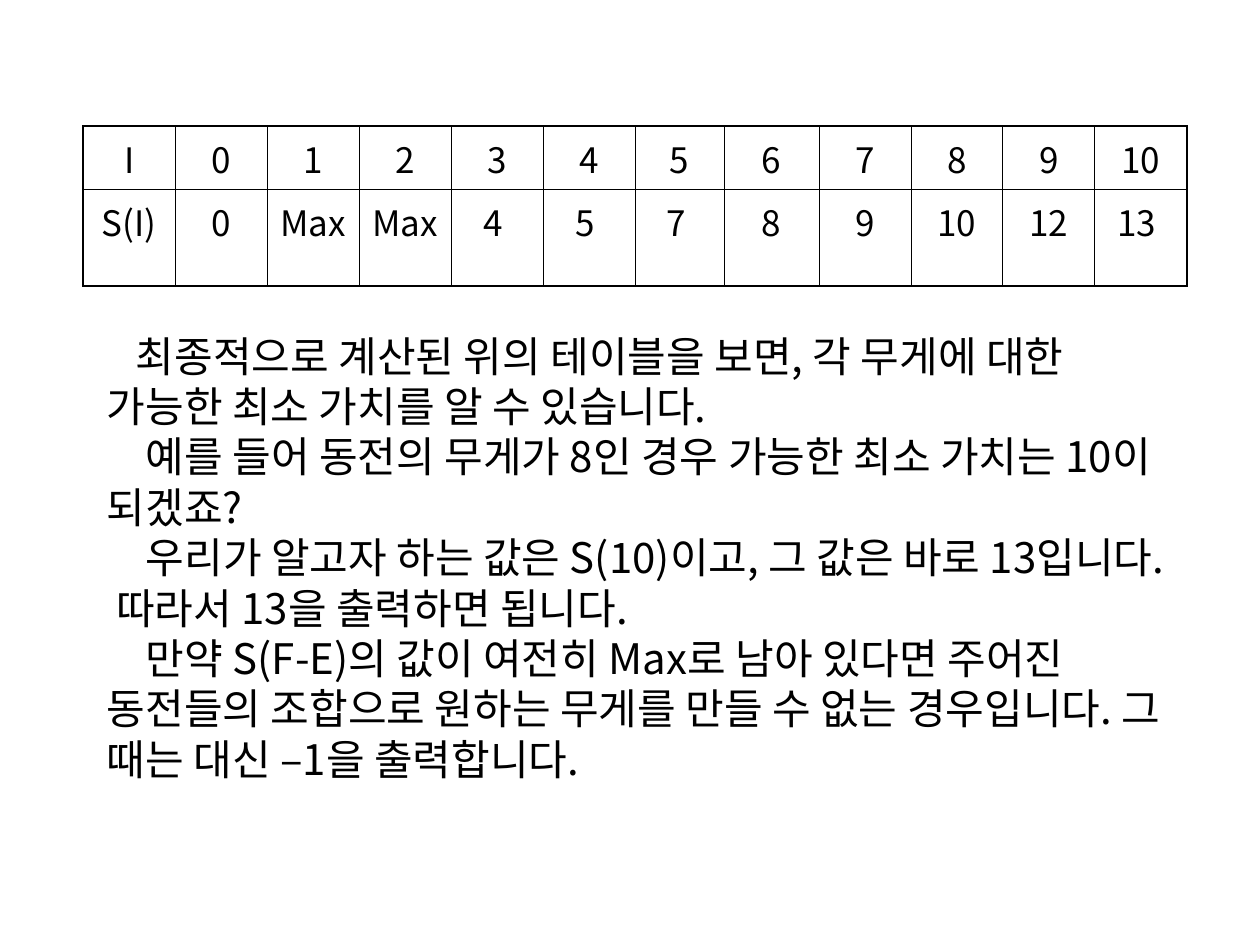
from lxml import etree
from pptx import Presentation
from pptx import util as u
from pptx.dml.color import RGBColor
from pptx.enum import text
from pptx.oxml import ns


def color(value):
    """Turn a hex string into a colour."""
    return RGBColor.from_string(value)


class Deck:
    """Holds the style and the current slide."""

    font = "Noto Sans CJK KR"
    ink = "000000"
    thin, thick = 0.45, 1.08

    def __init__(self, width, height):
        """Start a deck with one blank slide."""
        self.prs = Presentation()
        self.prs.slide_width = u.Inches(width)
        self.prs.slide_height = u.Inches(height)
        self.s = self.prs.slides.add_slide(self.prs.slide_layouts[6])

    def style(self, p, size):
        """Set the Latin and East Asian font of a paragraph's runs."""
        for r in p.runs:
            r.font.size = u.Pt(size)
            r.font.name = self.font
            r.font.color.rgb = color(self.ink)
            ea = etree.SubElement(r.font._element, ns.qn("a:ea"))
            ea.set("typeface", self.font)

    def border(self, cell, side, width):
        """Draw one border of a cell; side is L, R, T or B."""
        ln = etree.SubElement(cell._tc.get_or_add_tcPr(), ns.qn("a:ln" + side))
        ln.set("w", str(int(u.Pt(width))))
        fill = etree.SubElement(ln, ns.qn("a:solidFill"))
        etree.SubElement(fill, ns.qn("a:srgbClr")).set("val", self.ink)

    def table(self, left, top, widths, heights, rows, size):
        """Add a plain grid with a thicker outer frame."""
        shape = self.s.shapes.add_table(
            len(rows), len(widths), u.Inches(left), u.Inches(top),
            u.Inches(sum(widths)), u.Inches(sum(heights)))
        table = shape.table
        table.first_row = table.horz_banding = False
        for column, width in zip(table.columns, widths):
            column.width = u.Inches(width)
        for i, (height, row) in enumerate(zip(heights, rows)):
            table.rows[i].height = u.Inches(height)
            for j, value in enumerate(row):
                cell = table.cell(i, j)
                p = cell.text_frame.paragraphs[0]
                p.text = value
                p.alignment = text.PP_ALIGN.CENTER
                p.space_before = u.Pt(5)
                self.style(p, size)
                outer = {"L": j == 0, "R": j == len(row) - 1,
                         "T": i == 0, "B": i == len(rows) - 1}
                for side, is_outer in outer.items():
                    self.border(cell, side, self.thick if is_outer else self.thin)
                cell.fill.background()

    def body(self, left, top, width, height, paragraphs, size):
        """Add a text box from pairs of first-line indent and wording."""
        sp = self.s.shapes.add_textbox(*map(u.Inches, (left, top, width, height)))
        tf = sp.text_frame
        tf.word_wrap = True
        tf.vertical_anchor = text.MSO_ANCHOR.MIDDLE
        tf.text = "\n".join(wording for _, wording in paragraphs)
        for p, (indent, _) in zip(tf.paragraphs, paragraphs):
            pPr = p._p.get_or_add_pPr()
            pPr.set("marL", "0")
            pPr.set("indent", str(int(u.Inches(indent))))
            self.style(p, size)


deck = Deck(10, 7.5)

deck.body(0.75, 2.42, 8.58, 4, [
    (0.23, "최종적으로 계산된 위의 테이블을 보면, 각 무게에 대한 가능한 최소 가치를 알 수 있습니다."),
    (0.31, "예를 들어 동전의 무게가 8인 경우 가능한 최소 가치는 10이 되겠죠?"),
    (0.31, "우리가 알고자 하는 값은 S(10)이고, 그 값은 바로 13입니다. "
           "따라서 13을 출력하면 됩니다."),
    (0.31, "만약 S(F-E)의 값이 여전히 Max로 남아 있다면 주어진 동전들의 조합으로 "
           "원하는 무게를 만들 수 없는 경우입니다. 그 때는 대신 –1을 출력합니다."),
], size=24)

weights = ["I"] + [str(n) for n in range(11)]
values = ["S(I)", "0", "Max", "Max ", "4 ", "5 ", "7 ", "8", "9", "10", "12", "13 "]
widths = [0.73] * 6 + [0.71, 0.75] + [0.73] * 4
deck.table(0.66, 1, widths, [0.5, 0.77], [weights, values], size=20)

deck.prs.save("out.pptx")
